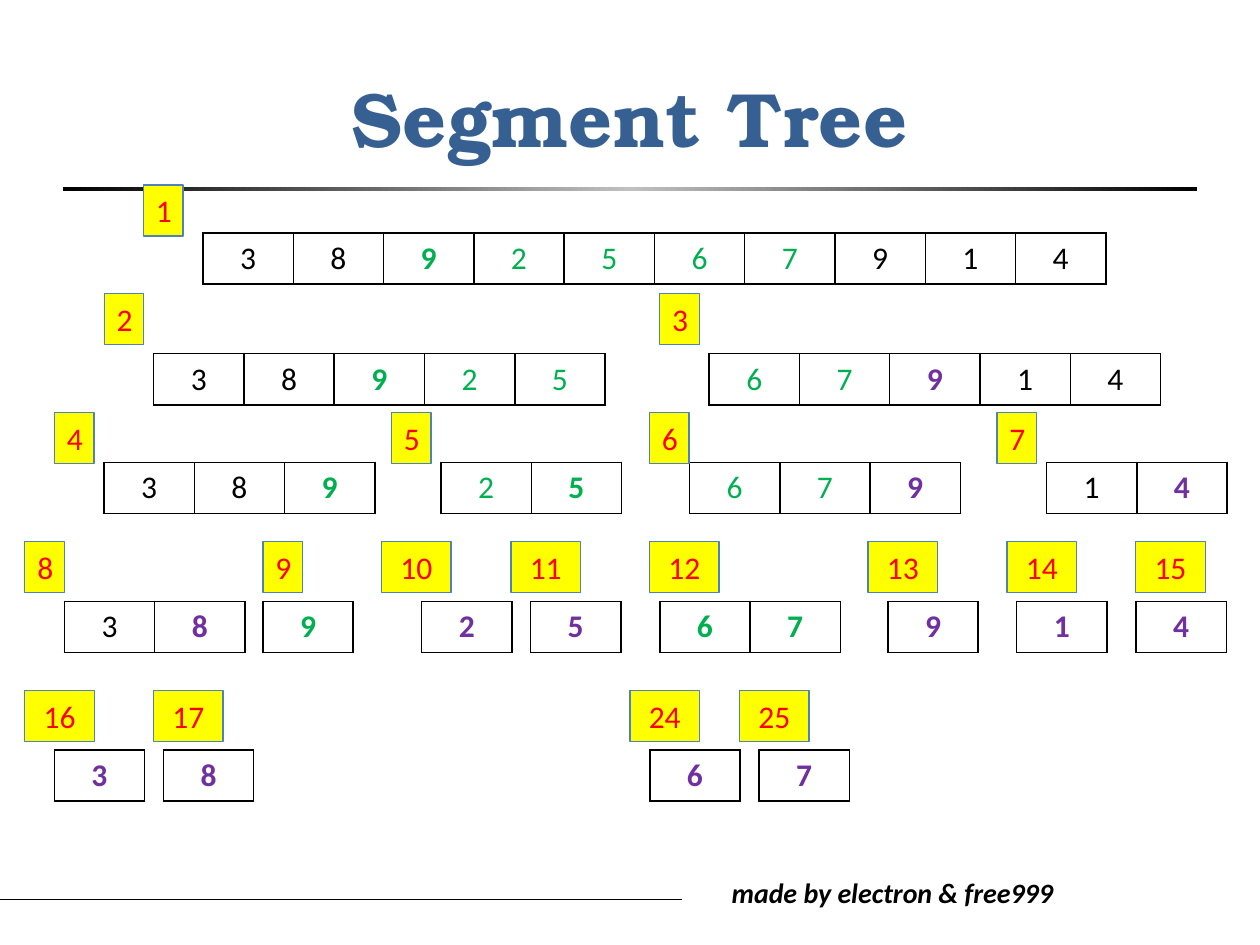
from copy import deepcopy

from lxml import etree
from pptx import Presentation
from pptx.dml.color import RGBColor
from pptx.enum import shapes, text
from pptx.oxml import ns
from pptx.util import Pt

COLORS = {
    "black": "000000",
    "silver": "C0C0C0",
    "title": "376092",
    "green": "00B050",
    "purple": "7030A0",
    "red": "FF0000",
    "yellow": "FFFF00",
    "label_border": "4F81BD",
}
CELL_STYLES = {
    "k": ("black", False),
    "g": ("green", False),
    "G": ("green", True),
    "P": ("purple", True),
}
LEVELS = [
    (105.8, 133.2, [(1, 82, 116, "3k 8k 9G 2g 5g 6g 7g 9k 1k 4k")]),
    (167.8, 202.1, [
        (2, 59.6, 87.8, "3k 8k 9G 2g 5g"),
        (3, 377, 405.2, "6g 7g 9P 1k 4k"),
    ]),
    (235.9, 264.2, [
        (4, 31.1, 59.4, "3k 8k 9G"),
        (5, 223.7, 252, "2g 5G"),
        (6, 371.2, 394, "6g 7g 9P"),
        (7, 569.7, 598, "1k 4P"),
    ]),
    (309.6, 343.6, [
        (8, 14.2, 36.8, "3k 8P"),
        (9, 150.2, 150.2, "9G"),
        (10, 218, 241, "2P"),
        (11, 292, 303.2, "5P"),
        (12, 371.2, 377, "6G 7G"),
        (13, 496, 507.4, "9P"),
        (14, 575.5, 581, "1P"),
        (15, 649, 649.2, "4P"),
    ]),
    (394.6, 428.6, [
        (16, 14.2, 31, "3P"),
        (17, 87.8, 93.4, "8P"),
        (24, 360, 371.3, "6P"),
        (25, 422.6, 433.7, "7P"),
    ]),
]


def rgb(name):
    return RGBColor.from_string(COLORS[name])


class SlideBuilder:
    font = "Calibri"
    title_font = "TeX Gyre Bonum"
    size = 18
    cell_width = 51.6
    cell_height = 29.2

    def __init__(self, slide):
        self.slide = slide

    def set_text(self, text_frame, content, color, size=None, font=None,
                 bold=False, italic=False, centered=True):
        text_frame.text = content
        paragraph = text_frame.paragraphs[0]
        paragraph.alignment = text.PP_ALIGN.CENTER if centered else text.PP_ALIGN.LEFT
        style = paragraph.runs[0].font
        style.name = font or self.font
        style.size = Pt(size or self.size)
        style.bold = bold
        style.italic = italic
        style.color.rgb = rgb(color)

    def text_box(self, left, top, width, height):
        return self.slide.shapes.add_textbox(Pt(left), Pt(top), Pt(width), Pt(height))

    def title(self, content):
        frame = self.text_box(36, 21.6, 648, 90).text_frame
        frame.word_wrap = True
        frame.vertical_anchor = text.MSO_ANCHOR.MIDDLE
        self.set_text(frame, content, "title", 44, self.title_font, bold=True)

    def footer(self, content):
        frame = self.text_box(411, 496.8, 224.6, 26.6).text_frame
        frame.word_wrap = True
        frame.auto_size = text.MSO_AUTO_SIZE.SHAPE_TO_FIT_TEXT
        self.set_text(frame, content, "black", 16, bold=True, italic=True, centered=False)

    def line(self, start, end, y):
        connector = self.slide.shapes.add_connector(
            shapes.MSO_CONNECTOR.STRAIGHT, Pt(start), Pt(y), Pt(end), Pt(y))
        connector.line.color.rgb = rgb("black")
        connector.line.width = Pt(0.5)
        etree.SubElement(connector._element.spPr, ns.qn("a:effectLst"))

    def gradient_bar(self, left, top, width, height):
        bar = self.slide.shapes.add_shape(
            shapes.MSO_SHAPE.RECTANGLE, Pt(left), Pt(top), Pt(width), Pt(height))
        bar.shadow.inherit = False
        bar.line.fill.background()
        bar.fill.gradient()
        bar.fill.gradient_angle = 0
        stop_list = next(bar._element.iter(ns.qn("a:gsLst")))
        stop_list.append(deepcopy(stop_list[0]))
        stops = zip(bar.fill.gradient_stops, (0, 0.5, 1), ("black", "silver", "black"))
        for stop, position, color in stops:
            stop.position = position
            stop.color.rgb = rgb(color)

    def label(self, number, left, top):
        wide = number > 9
        box = self.text_box(left, top, 39.7 if wide else 22.6, 29.1)
        box.fill.solid()
        box.fill.fore_color.rgb = rgb("yellow")
        box.line.color.rgb = rgb("label_border")
        box.line.width = Pt(0.75)
        box.text_frame.word_wrap = wide
        box.text_frame.auto_size = text.MSO_AUTO_SIZE.SHAPE_TO_FIT_TEXT
        self.set_text(box.text_frame, str(number), "red", centered=wide)

    def border(self, cell):
        properties = cell._tc.get_or_add_tcPr()
        for index, side in enumerate(("lnL", "lnR", "lnT", "lnB")):
            edge = etree.Element(ns.qn(f"a:{side}"), w=str(Pt(1)))
            fill = etree.SubElement(edge, ns.qn("a:solidFill"))
            etree.SubElement(fill, ns.qn("a:srgbClr"), val=COLORS["black"])
            properties.insert(index, edge)

    def segment(self, cells, left, top):
        values = cells.split()
        table = self.slide.shapes.add_table(
            1, len(values), Pt(left), Pt(top),
            Pt(self.cell_width * len(values)), Pt(self.cell_height)).table
        table.first_row = False
        table.horz_banding = False
        for column, (digit, style) in enumerate(values):
            table.columns[column].width = Pt(self.cell_width)
            cell = table.cell(0, column)
            cell.fill.background()
            self.border(cell)
            color, bold = CELL_STYLES[style]
            self.set_text(cell.text_frame, digit, color, bold=bold)


def main():
    presentation = Presentation()
    presentation.slide_width = Pt(720)
    presentation.slide_height = Pt(540)
    builder = SlideBuilder(presentation.slides.add_slide(presentation.slide_layouts[6]))
    builder.line(-60, 390, 514)
    builder.footer("made by electron & free999")
    builder.gradient_bar(36, 106.8, 648, 2.2)
    builder.title("Segment Tree")
    for label_top, segment_top, nodes in LEVELS:
        for number, label_left, segment_left, cells in nodes:
            builder.segment(cells, segment_left, segment_top)
            builder.label(number, label_left, label_top)
    presentation.save("out.pptx")


if __name__ == "__main__":
    main()
